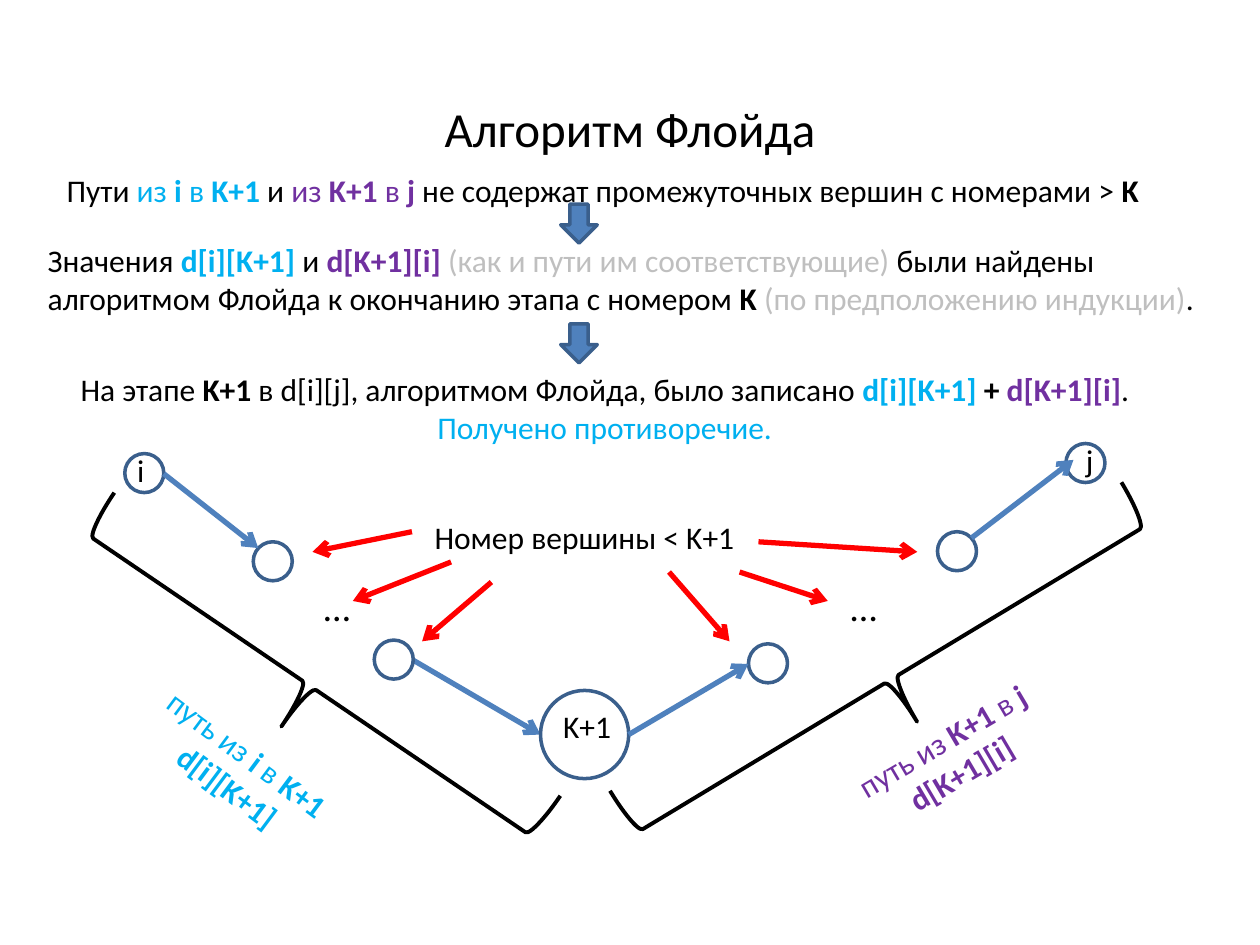
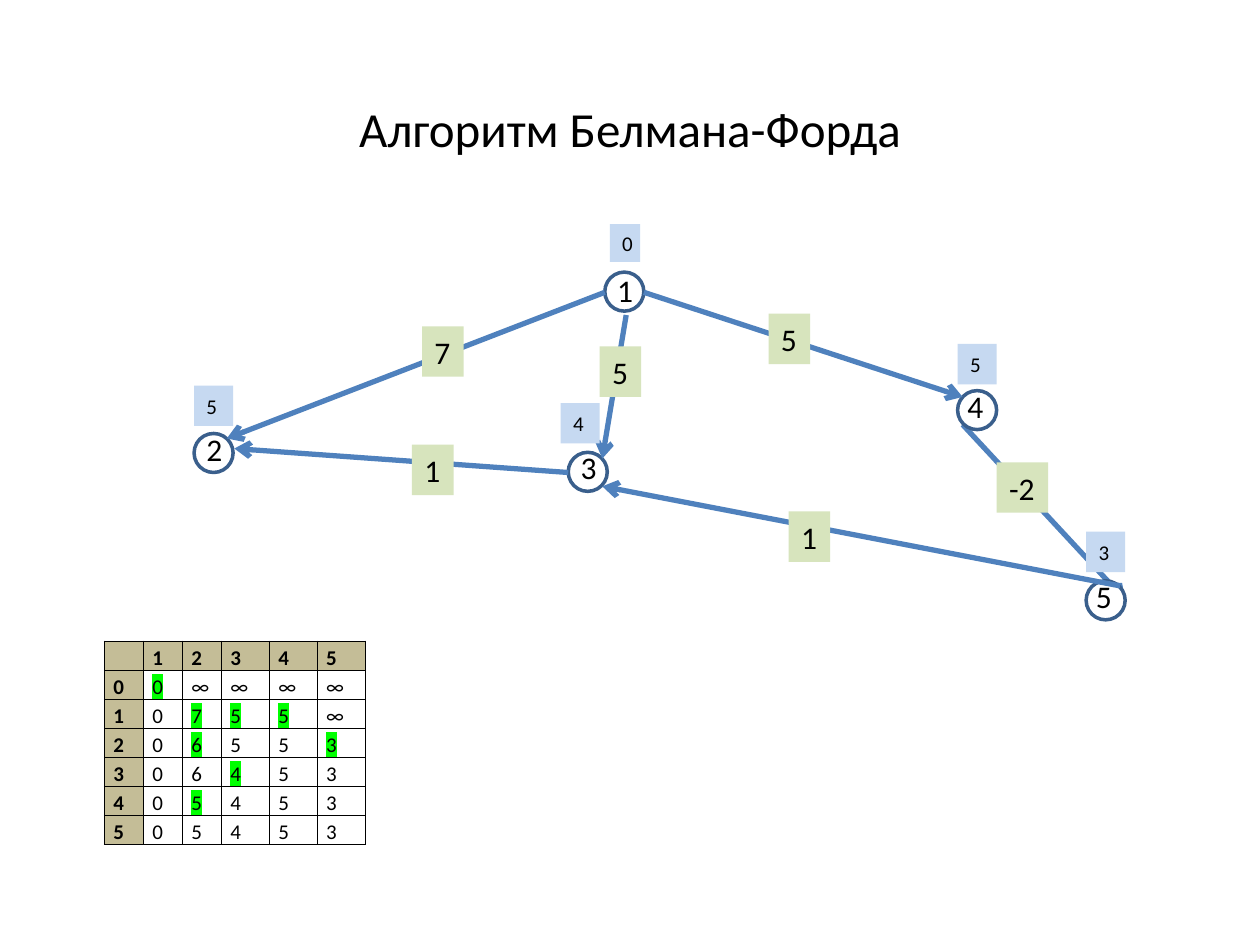
from lxml import etree
from pptx import Presentation
from pptx.dml.color import RGBColor
from pptx.enum.shapes import MSO_CONNECTOR, MSO_SHAPE
from pptx.enum.text import MSO_ANCHOR, MSO_AUTO_SIZE, PP_ALIGN
from pptx.oxml.ns import qn
from pptx.util import Inches, Pt

LEFT, CENTER = PP_ALIGN.LEFT, PP_ALIGN.CENTER
MIDDLE = MSO_ANCHOR.MIDDLE
NO_AUTOFIT = MSO_AUTO_SIZE.NONE
STRAIGHT = MSO_CONNECTOR.STRAIGHT
OVAL, LEFT_BRACE, DOWN_ARROW = MSO_SHAPE.OVAL, MSO_SHAPE.LEFT_BRACE, MSO_SHAPE.DOWN_ARROW

BLACK = RGBColor(0x00, 0x00, 0x00)
WHITE = RGBColor(0xFF, 0xFF, 0xFF)
GRAY = RGBColor(0xBF, 0xBF, 0xBF)
RED = RGBColor(0xFF, 0x00, 0x00)
CYAN = RGBColor(0x00, 0xB0, 0xF0)
PURPLE = RGBColor(0x70, 0x30, 0xA0)
BLUE = RGBColor(0x4F, 0x81, 0xBD)
DARK_BLUE = RGBColor(0x3A, 0x5F, 0x8C)
DISTANCE_BLUE = RGBColor(0xC6, 0xD9, 0xF1)
WEIGHT_GREEN = RGBColor(0xD7, 0xE4, 0xBD)
HEADER_TAN = RGBColor(0xC4, 0xBD, 0x97)
FONT = "Calibri"
NODE = 0.31


def add_runs(paragraph, runs, size):
    for text, colour, bold in runs:
        run = paragraph.add_run()
        run.text = text
        run.font.name = FONT
        run.font.size = Pt(size)
        run.font.bold = bold
        run.font.color.rgb = colour


def add_arrow(slide, start, end, colour):
    arrow = slide.shapes.add_connector(STRAIGHT, *map(Inches, start + end))
    arrow.line.color.rgb = colour
    arrow.line.width = Pt(3)
    etree.SubElement(arrow.line._get_or_add_ln(), qn("a:tailEnd"), type="arrow")
    etree.SubElement(arrow._element.spPr, qn("a:effectLst"))


floyd = {
    "title": "Алгоритм Флойда",
    "arrows_below": [((3.28, 5.24), (4.29, 5.83), BLUE)],
    "circles": [
        (5.94, 5.11, NODE), (2.97, 5.08, NODE), (0.99, 3.6, NODE), (8.46, 3.52, NODE),
        (4.29, 5.48, 0.7), (7.44, 4.22, NODE), (2.01, 4.3, NODE),
    ],
    "arrows_above": [
        ((1.3, 3.76), (2.05, 4.35), BLUE),
        ((7.71, 4.27), (8.52, 3.65), BLUE),
        ((4.99, 5.83), (5.94, 5.27), BLUE),
        ((3.27, 4.22), (2.48, 4.38), RED),
        ((3.9, 4.62), (3.35, 5.09), RED),
        ((6.02, 4.3), (7.28, 4.38), RED),
        ((5.31, 4.54), (5.79, 5.09), RED),
        ((3.58, 4.46), (2.8, 4.77), RED),
        ((5.87, 4.54), (6.57, 4.77), RED),
    ],
    "labels": [
        ((left, top, width, 0.4), 0, LEFT, False, 18, None, [[(text, BLACK, False)]])
        for left, top, width, text in [
            (8.52, 3.45, 0.26, "j"), (0.99, 3.53, 0.26, "i"),
            (4.37, 5.56, 0.59, "K+1"), (3.35, 4.06, 2.61, "Номер вершины < K+1"),
        ]
    ] + [
        ((left, 4.62, 0.71, 0.39), 0, CENTER, True, 21.7, None, [[("…", BLACK, False)]])
        for left in (2.32, 6.5)
    ] + [
        ((0.43, 1.31, 8.9, 0.4), 0, LEFT, True, 18, None, [[
            ("Пути ", BLACK, False), ("из ", CYAN, False), ("i ", CYAN, True),
            ("в ", CYAN, False), ("K+1", CYAN, True), (" и ", BLACK, False),
            ("из ", PURPLE, False), ("K+1", PURPLE, True), (" в ", PURPLE, False),
            ("j ", PURPLE, True),
            ("не содержат промежуточных вершин с номерами > ", BLACK, False),
            ("K", BLACK, True),
        ]]),
        ((0.28, 1.86, 9.45, 0.71), 0, LEFT, True, 18, None, [[
            ("Значения ", BLACK, False), ("d[i][K+1]", CYAN, True), (" и ", BLACK, False),
            ("d[K+1][i] ", PURPLE, True), ("(как и пути им соответствующие) ", GRAY, False),
            ("были найдены алгоритмом Флойда к окончанию этапа с номером ", BLACK, False),
            ("K ", BLACK, True), ("(по предположению индукции)", GRAY, False),
            (".", BLACK, False),
        ]]),
        ((0.51, 2.88, 8.58, 0.71), 0, CENTER, True, 18, None, [
            [
                ("На этапе ", BLACK, False), ("K+1", BLACK, True),
                (" в d[i][j], алгоритмом Флойда, было записано ", BLACK, False),
                ("d[i][K+1] ", CYAN, True), ("+ ", BLACK, True),
                ("d[K+1][i]", PURPLE, True), (".", BLACK, False),
            ],
            [("Получено противоречие.", CYAN, False)],
        ]),
        ((1.02, 5.75, 1.71, 0.71), 36.7, CENTER, False, 18, None, [
            [("путь из ", CYAN, False), ("i ", CYAN, True), ("в ", CYAN, False),
             ("K+1", CYAN, True)],
            [(" ", CYAN, False), ("d[i][K+1]", CYAN, True)],
        ]),
        ((6.69, 5.65, 1.72, 0.71), 329.5, CENTER, False, 18, None, [
            [("путь из ", PURPLE, False), ("K+1", PURPLE, True), (" в ", PURPLE, False),
             ("j", PURPLE, True)],
            [("d[K+1][i]", PURPLE, True)],
        ]),
    ],
}

bellman_ford = {
    "title": "Алгоритм Белмана-Форда",
    "arrows_below": [((7.64, 3.37), (8.93, 4.76), BLUE)],
    "circles": [
        (1.54, 3.44, NODE), (4.51, 3.59, NODE), (7.6, 3.1, NODE),
        (4.8, 2.16, NODE), (8.62, 4.61, NODE),
    ],
    "arrows_above": [
        ((4.8, 2.32), (1.8, 3.48), BLUE),
        ((8.89, 4.65), (4.78, 3.86), BLUE),
        ((4.97, 2.5), (4.78, 3.64), BLUE),
        ((5.11, 2.32), (7.64, 3.15), BLUE),
        ((4.51, 3.75), (1.86, 3.56), BLUE),
    ],
    "labels": [
        ((left, top, 0.34, 0.4), 0, LEFT, False, 18, None, [[(text, BLACK, False)]])
        for left, top, text in [
            (4.8, 2.1, "1"), (1.54, 3.36, "2"), (4.51, 3.51, "3"),
            (7.58, 3.02, "4"), (8.6, 4.53, "5"),
        ]
    ] + [
        ((left, top, width, height), 0, LEFT, True, 12, DISTANCE_BLUE, [[(text, BLACK, False)]])
        for left, top, width, height, text in [
            (4.45, 3.2, 0.31, 0.32, "4"), (1.54, 3.06, 0.31, 0.32, "5"),
            (7.6, 2.73, 0.31, 0.32, "5"), (8.62, 4.22, 0.31, 0.32, "3"),
            (4.84, 1.78, 0.24, 0.3, "0"),
        ]
    ] + [
        ((left, top, width, 0.4), 0, LEFT, False, 18, WEIGHT_GREEN, [[(text, BLACK, False)]])
        for left, top, width, text in [
            (3.35, 2.59, 0.33, "7"), (3.27, 3.53, 0.33, "1"), (6.1, 2.49, 0.33, "5"),
            (4.76, 2.75, 0.33, "5"), (7.91, 3.67, 0.41, "-2"), (6.26, 4.06, 0.33, "1"),
        ]
    ],
}

presentation = Presentation()
presentation.slide_width = Inches(10)
presentation.slide_height = Inches(7.5)

for content in (floyd, bellman_ford):
    slide = presentation.slides.add_slide(presentation.slide_layouts[5])
    title = slide.shapes.title
    title.left, title.top, title.width, title.height = map(Inches, (0.75, 0.21, 8.5, 1.61))
    title.text_frame.auto_size = NO_AUTOFIT
    title.text_frame.vertical_anchor = MIDDLE
    title.text_frame.paragraphs[0].alignment = CENTER
    add_runs(title.text_frame.paragraphs[0], [(content["title"], BLACK, False)], 28)

    for start, end, colour in content["arrows_below"]:
        add_arrow(slide, start, end, colour)

    for left, top, diameter in content["circles"]:
        circle = slide.shapes.add_shape(OVAL, *map(Inches, (left, top, diameter, diameter)))
        circle.shadow.inherit = False
        circle.fill.solid()
        circle.fill.fore_color.rgb = WHITE
        circle.line.color.rgb = DARK_BLUE
        circle.line.width = Pt(2)

    for start, end, colour in content["arrows_above"]:
        add_arrow(slide, start, end, colour)

    for box, rotation, alignment, wrap, size, fill, paragraphs in content["labels"]:
        label = slide.shapes.add_textbox(*map(Inches, box))
        label.rotation = rotation
        if fill:
            label.fill.solid()
            label.fill.fore_color.rgb = fill
        frame = label.text_frame
        frame.word_wrap = wrap
        frame.vertical_anchor = MIDDLE
        for index, runs in enumerate(paragraphs):
            paragraph = frame.add_paragraph() if index else frame.paragraphs[0]
            paragraph.alignment = alignment
            add_runs(paragraph, runs, size)

floyd_slide, bellman_ford_slide = presentation.slides

for left, top, height, rotation in [(2.06, 3.3, 4.28, 304.2), (6.68, 3.02, 4.74, 238.9)]:
    brace = floyd_slide.shapes.add_shape(LEFT_BRACE, *map(Inches, (left, top, 0.79, height)))
    brace.rotation = rotation
    brace.shadow.inherit = False
    brace.fill.background()
    brace.line.color.rgb = BLACK
    brace.line.width = Pt(2.25)

for top in (1.62, 2.57):
    step = floyd_slide.shapes.add_shape(DOWN_ARROW, *map(Inches, (4.45, top, 0.29, 0.31)))
    step.shadow.inherit = False
    step.fill.solid()
    step.fill.fore_color.rgb = BLUE
    step.line.color.rgb = DARK_BLUE
    step.line.width = Pt(2)

distances = [
    ["", "1", "2", "3", "4", "5"],
    ["0", "0", "∞", "∞", "∞", "∞"],
    ["1", "0", "7", "5", "5", "∞"],
    ["2", "0", "6", "5", "5", "3"],
    ["3", "0", "6", "4", "5", "3"],
    ["4", "0", "5", "4", "5", "3"],
    ["5", "0", "5", "4", "5", "3"],
]
improved = {(1, 1), (2, 2), (2, 3), (2, 4), (3, 2), (3, 5), (4, 3), (5, 2)}
column_widths = [0.31] * 3 + [0.38] * 3
row_height = 0.23

table = bellman_ford_slide.shapes.add_table(
    len(distances), len(column_widths), Inches(0.83), Inches(5.09),
    Inches(sum(column_widths)), Inches(row_height * len(distances)),
).table
table.first_row = table.horz_banding = False
for column, width in zip(table.columns, column_widths):
    column.width = Inches(width)

for row, values in enumerate(distances):
    table.rows[row].height = Inches(row_height)
    for column, value in enumerate(values):
        cell = table.cell(row, column)
        cell.margin_left = cell.margin_right = Inches(0.07)
        cell.margin_top = cell.margin_bottom = 0
        for side in ("a:lnL", "a:lnR", "a:lnT", "a:lnB"):
            border = etree.SubElement(cell._tc.get_or_add_tcPr(), qn(side), w=str(Pt(1)))
            border_fill = etree.SubElement(border, qn("a:solidFill"))
            etree.SubElement(border_fill, qn("a:srgbClr"), val=str(BLACK))
        is_header = row == 0 or column == 0
        cell.fill.solid()
        cell.fill.fore_color.rgb = HEADER_TAN if is_header else WHITE
        paragraph = cell.text_frame.paragraphs[0]
        paragraph.line_spacing = 1.15
        if value:
            add_runs(paragraph, [(value, BLACK, is_header)], 12)
        else:
            etree.SubElement(paragraph._p, qn("a:endParaRPr"), sz="1200")
        if (row, column) in improved:
            properties = paragraph.runs[0]._r.get_or_add_rPr()
            highlight = etree.Element(qn("a:highlight"))
            etree.SubElement(highlight, qn("a:srgbClr"), val="00FF00")
            properties.find(qn("a:latin")).addprevious(highlight)

presentation.save("out.pptx")
